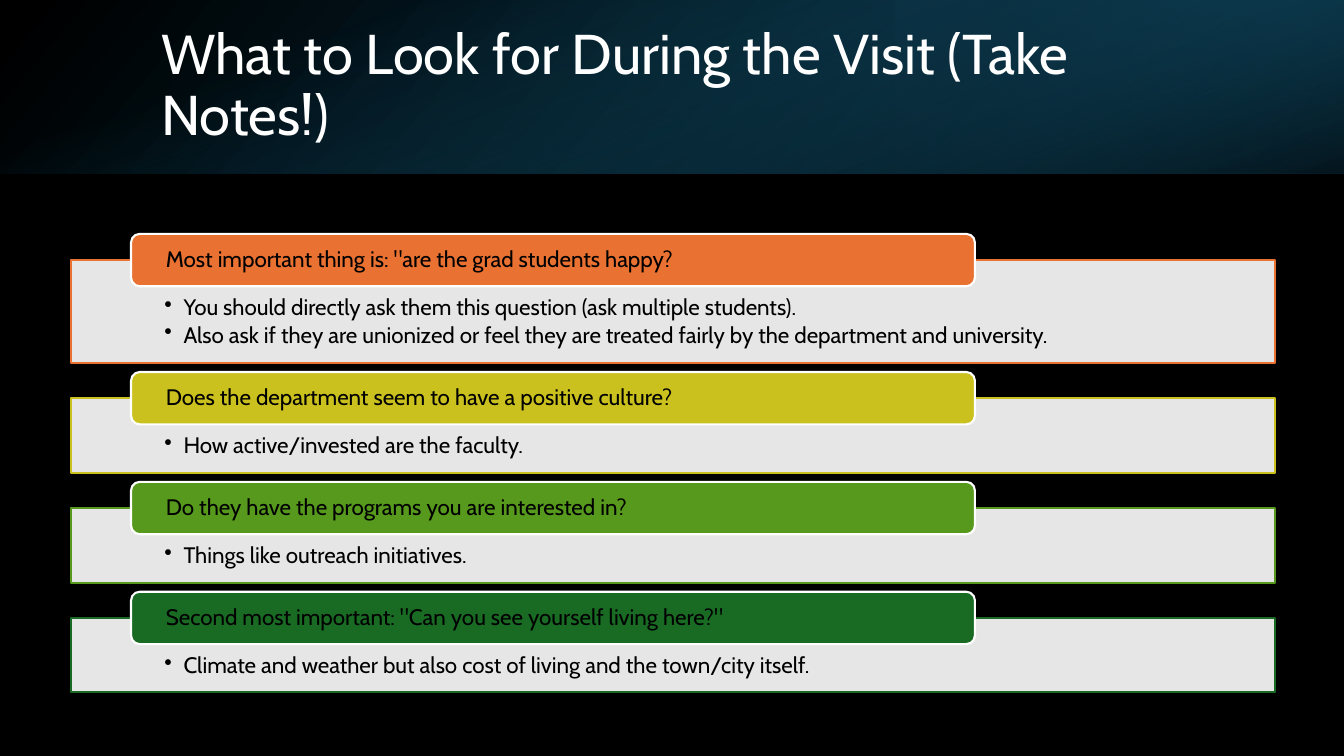
from lxml import etree
from pptx import Presentation
from pptx.dml.color import RGBColor
from pptx.enum.shapes import MSO_SHAPE
from pptx.enum.text import MSO_ANCHOR, MSO_AUTO_SIZE, PP_ALIGN
from pptx.oxml import parse_xml
from pptx.oxml.ns import nsdecls, qn
from pptx.util import Inches, Pt

RECT, ROUNDED = MSO_SHAPE.RECTANGLE, MSO_SHAPE.ROUNDED_RECTANGLE
TOP, MIDDLE = MSO_ANCHOR.TOP, MSO_ANCHOR.MIDDLE
LEFT, NO_FIT = PP_ALIGN.LEFT, MSO_AUTO_SIZE.NONE

COLORS = {
    "black": "000000", "white": "FFFFFF", "orange": "E97132", "yellow": "CBC11E",
    "green": "56991D", "forest": "196B24", "teal": "156082",
    "deep teal": "104862", "dark teal": "0B3041",
}
FONT = "Cabin"
TITLE = "What to Look for During the Visit (Take Notes!)"
TOPICS = [
    ("orange", 'Most important thing is: "are the grad students happy?',
     ["You should directly ask them this question (ask multiple students).",
      "Also ask if they are unionized or feel they are treated fairly by the department and university."]),
    ("yellow", "Does the department seem to have a positive culture?",
     ["How active/invested are the faculty."]),
    ("green", "Do they have the programs you are interested in?",
     ["Things like outreach initiatives."]),
    ("forest", 'Second most important: "Can you see yourself living here?"',
     ["Climate and weather but also cost of living and the town/city itself."]),
]

WIDTH, HEIGHT = 13.33, 7.5
BANNER = 1.72
BANNER_LAYERS = [
    ((0, 0, WIDTH, BANNER), 0, True, 140,
     [(0, "black", 96), (100, "deep teal", 100)]),
    ((WIDTH * 2 / 3, 0, WIDTH / 3, BANNER), 180, True, 320,
     [(19, "dark teal", 68), (100, "teal", 79)]),
    (((WIDTH - BANNER) / 2, (BANNER - WIDTH) / 2, BANNER, WIDTH), 90, False, 340,
     [(23, "teal", 0), (99, "black", 74)]),
]
PANEL_LEFT, PANEL_WIDTH = 0.7, 11.95
TAB_LEFT, TAB_WIDTH, TAB_HEIGHT = 1.3, 8.37, 0.52
FIRST_TAB, TAB_GAP = 2.32, 0.09
PANEL_BASE, LINE_STEP = 0.46, 0.28


def rgb(name):
    return RGBColor.from_string(COLORS[name])


def place(item, left, top, width, height):
    item.left, item.top = Inches(left), Inches(top)
    item.width, item.height = Inches(width), Inches(height)


def add_box(kind, box, fill, line=None, opacity=100):
    shape = slide.shapes.add_shape(kind, *(Inches(v) for v in box))
    shape.shadow.inherit = False
    shape.fill.solid()
    shape.fill.fore_color.rgb = rgb(fill)
    if opacity < 100:
        color = shape.fill._xPr.find(qn("a:solidFill"))[0]
        etree.SubElement(color, qn("a:alpha")).set("val", str(opacity * 1000))
    if line:
        shape.line.color.rgb = rgb(line)
        shape.line.width = Pt(1.5)
    else:
        shape.line.fill.background()
    return shape


def set_gradient(shape, angle, stops):
    stop_xml = "".join(
        f'<a:gs pos="{pos * 1000}"><a:srgbClr val="{COLORS[color]}">'
        f'<a:alpha val="{alpha * 1000}"/></a:srgbClr></a:gs>'
        for pos, color, alpha in stops)
    gradient = parse_xml(
        f'<a:gradFill {nsdecls("a")}><a:gsLst>{stop_xml}</a:gsLst>'
        f'<a:lin ang="{angle * 60000}" scaled="0"/></a:gradFill>')
    properties = shape._element.spPr
    properties.replace(properties.find(qn("a:solidFill")), gradient)


def write(shape, lines, size=16, color="black", anchor=MIDDLE,
          insets=(0.1, 0.05, 0.1, 0.05), after=0, bullets=False):
    frame = shape.text_frame
    frame.word_wrap, frame.auto_size = True, NO_FIT
    frame.vertical_anchor = anchor
    (frame.margin_left, frame.margin_top,
     frame.margin_right, frame.margin_bottom) = (Inches(v) for v in insets)
    for index, line in enumerate(lines):
        paragraph = frame.paragraphs[0] if index == 0 else frame.add_paragraph()
        paragraph.alignment = LEFT
        paragraph.line_spacing = 0.9
        paragraph.space_before, paragraph.space_after = Pt(0), Pt(after)
        if bullets:
            paragraph.level = 1
            properties = paragraph._p.get_or_add_pPr()
            properties.set("marL", str(Inches(0.19)))
            properties.set("indent", str(-Inches(0.19)))
            etree.SubElement(properties, qn("a:buChar")).set("char", "•")
        run = paragraph.add_run()
        run.text = line
        run.font.name, run.font.size = FONT, Pt(size)
        run.font.color.rgb = rgb(color)


deck = Presentation()
deck.slide_width, deck.slide_height = Inches(WIDTH), Inches(HEIGHT)
slide = deck.slides.add_slide(deck.slide_layouts[5])
slide.background.fill.solid()
slide.background.fill.fore_color.rgb = rgb("black")

for box, rotation, flipped, angle, stops in BANNER_LAYERS:
    layer = add_box(RECT, box, "black")
    layer.rotation = rotation
    if flipped:
        layer._element.spPr.xfrm.set("flipH", "1")
    set_gradient(layer, angle, stops)

title = slide.shapes.title
place(title, 1.5, 0.38, 10.98, 0.96)
write(title, [TITLE], size=40, color="white")
slide.shapes._spTree.append(title._element)

tab_top = FIRST_TAB
for accent, heading, points in TOPICS:
    panel_top = tab_top + TAB_HEIGHT / 2
    panel_height = PANEL_BASE + LINE_STEP * len(points)
    panel = add_box(RECT, (PANEL_LEFT, panel_top, PANEL_WIDTH, panel_height),
                    "white", line=accent, opacity=90)
    write(panel, points, anchor=TOP, insets=(0.93, 0.36, 0.93, 0.12),
          after=2.4, bullets=True)
    tab = add_box(ROUNDED, (TAB_LEFT, tab_top, TAB_WIDTH, TAB_HEIGHT),
                  accent, line="white")
    write(tab, [heading], insets=(0.32, 0, 0.32, 0))
    tab_top = panel_top + panel_height + TAB_GAP

deck.save("out.pptx")
